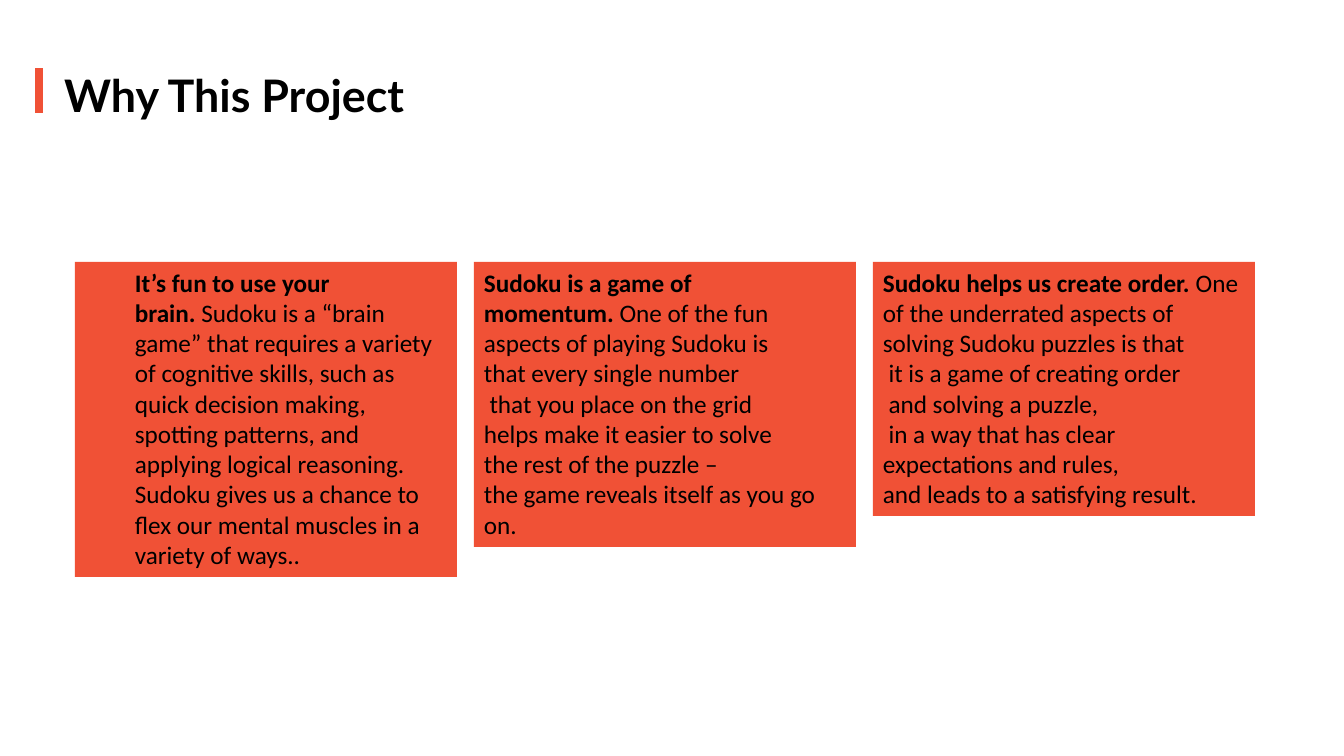
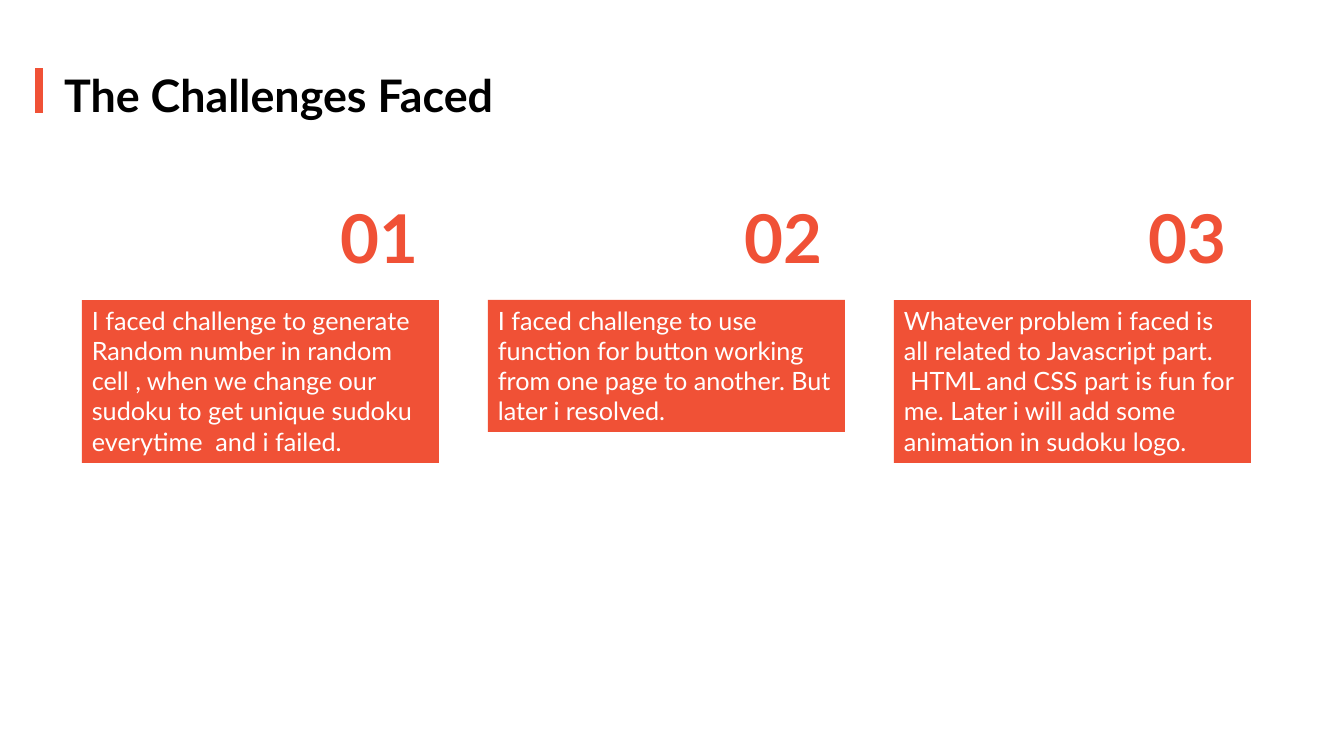
"""Build two slides about a Sudoku project."""
from pptx import Presentation
from pptx import util as u
from pptx.dml.color import RGBColor
from pptx.enum import shapes, text

PX = 914400 / 100.8
RED = RGBColor(0xF0, 0x51, 0x36)
WHITE = RGBColor(0xFF, 0xFF, 0xFF)
BLACK = RGBColor(0x00, 0x00, 0x00)
TITLE_ONLY = 5

REASONS = [
    (315, 50, "It’s fun to use your brain.", [
        "\u00a0Sudoku is a “brain game” that requires a variety of cognitive skills, "
        "such as quick decision making, spotting patterns, and applying logical "
        "reasoning. Sudoku gives us a chance to flex our mental muscles in a "
        "variety of ways.."]),
    (285, 0, "Sudoku is a game of momentum.", [
        "\u00a0One of the fun aspects of playing Sudoku is",
        "that every single number",
        " that you place on the grid",
        "helps make it easier to solve",
        "the rest of the puzzle –",
        "the game reveals itself as you go on."]),
    (254, 0, "Sudoku helps us create order.", [
        "\u00a0One of the underrated aspects of solving Sudoku puzzles is that",
        " it is a game of creating order",
        " and solving a puzzle,",
        " in a way that has clear expectations and rules,",
        "and leads to a satisfying result."]),
]

CHALLENGES = [
    (163, ["I faced challenge to generate",
           "Random number in random cell , when we change our sudoku to get "
           "unique sudoku everytime  and i failed."]),
    (132, ["I faced challenge to use function for button working from one page "
           "to another. But later i resolved."]),
    (163, ["Whatever problem i faced is all related to Javascript part.",
           " HTML and CSS part is fun for me. Later i will add some animation "
           "in sudoku logo."]),
]


def px(n):
    """Turn pixels into EMU."""
    return u.Emu(round(n * PX))


def write(sp, lines, size=18, font="Lato", color=BLACK, bold=False, lead="", indent=0):
    """Fill a shape with left-aligned paragraphs, the first after a bold lead."""
    tf = sp.text_frame
    tf.word_wrap = True
    tf.auto_size = text.MSO_AUTO_SIZE.SHAPE_TO_FIT_TEXT
    tf.vertical_anchor = text.MSO_ANCHOR.TOP
    for i, line in enumerate(lines):
        p = tf.add_paragraph() if i else tf.paragraphs[0]
        p.alignment = text.PP_ALIGN.LEFT
        if indent:
            p._p.get_or_add_pPr().set("marL", str(px(indent)))
        runs = [(line, bold)]
        if lead and i == 0:
            runs.insert(0, (lead, True))
        for words, heavy in runs:
            r = p.add_run()
            r.text = words
            r.font.size = u.Pt(size)
            r.font.name = font
            r.font.bold = heavy
            r.font.color.rgb = color


def add_box(s, x, y, w, h, fill=RED, line=None):
    """Add a filled rectangle, outlined only when a line colour is given."""
    sp = s.shapes.add_shape(shapes.MSO_SHAPE.RECTANGLE, px(x), px(y), px(w), px(h))
    sp.shadow.inherit = False
    sp.fill.solid()
    sp.fill.fore_color.rgb = fill
    if line is None:
        sp.line.fill.background()
    else:
        sp.line.color.rgb = line
        sp.line.width = u.Pt(1)
    return sp


def add_titled_slide(prs, title, width):
    """Add a slide with the red marker and its title."""
    s = prs.slides.add_slide(prs.slide_layouts[TITLE_ONLY])
    add_box(s, 34, 67, 10, 47, line=WHITE)
    sp = s.shapes.title
    sp.left, sp.top, sp.width, sp.height = px(54), px(63), px(width), px(64)
    write(sp, [title], size=32, bold=True)
    return s


def add_reasons(prs):
    """Build the slide with three reasons."""
    s = add_titled_slide(prs, "Why This Project", 387)
    for i, (height, indent, lead, lines) in enumerate(REASONS):
        card = add_box(s, 75 + 399 * i, 262, 382, height)
        write(card, lines, font="Calibri", lead=lead, indent=indent)


def add_challenges(prs):
    """Build the slide with three numbered challenges."""
    s = add_titled_slide(prs, "The Challenges Faced", 501)
    for i, (height, lines) in enumerate(CHALLENGES):
        card = add_box(s, 82 + 406 * i, 300, 357, height)
        write(card, lines, color=WHITE)
        number = add_box(s, 331 + 404 * i, 191, 108, 92, fill=WHITE)
        write(number, [f"{i + 1:02}"], size=48, color=RED, bold=True)


def main():
    """Build and save the presentation."""
    prs = Presentation()
    prs.slide_width, prs.slide_height = px(1344), px(756)
    add_reasons(prs)
    add_challenges(prs)
    prs.save("out.pptx")


main()
